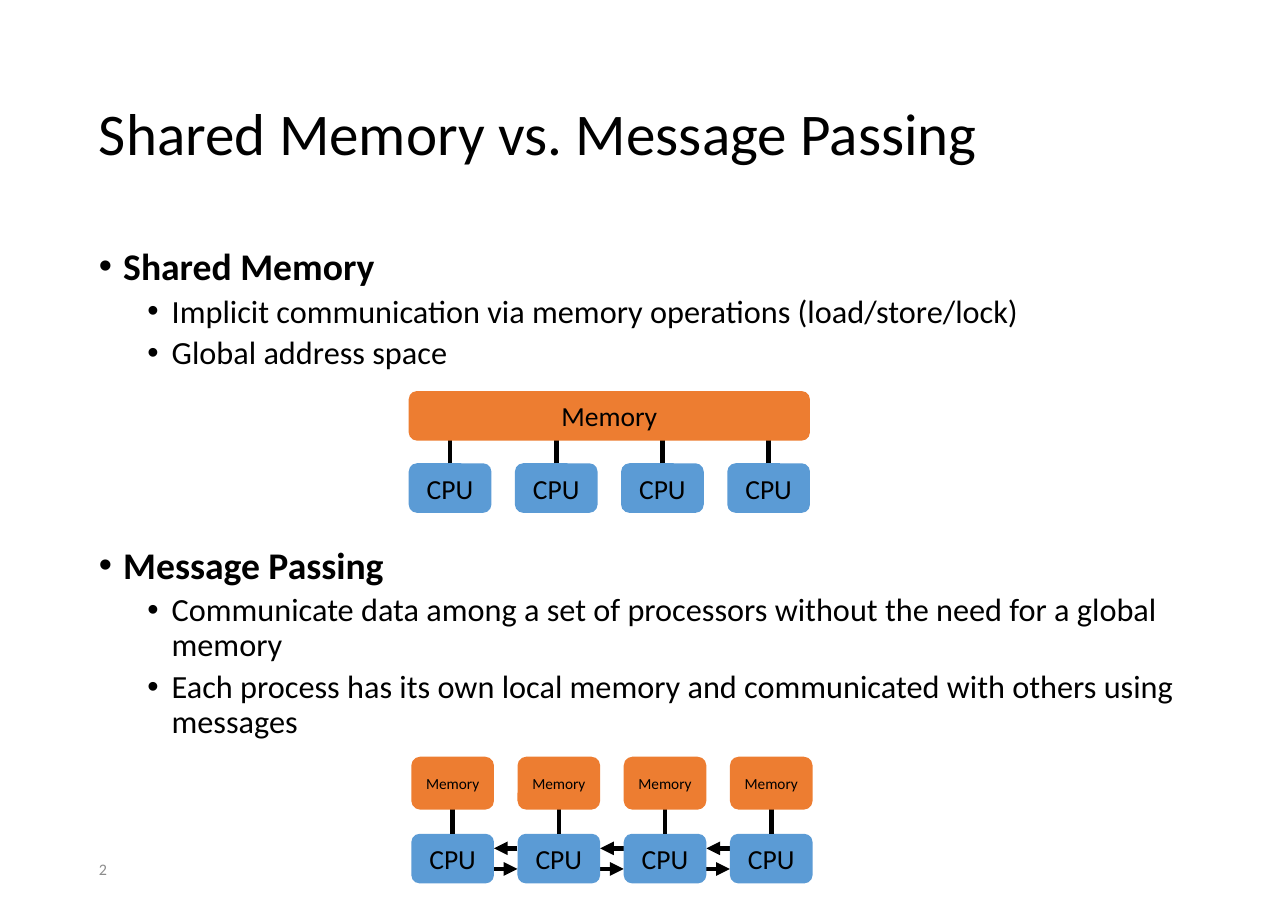
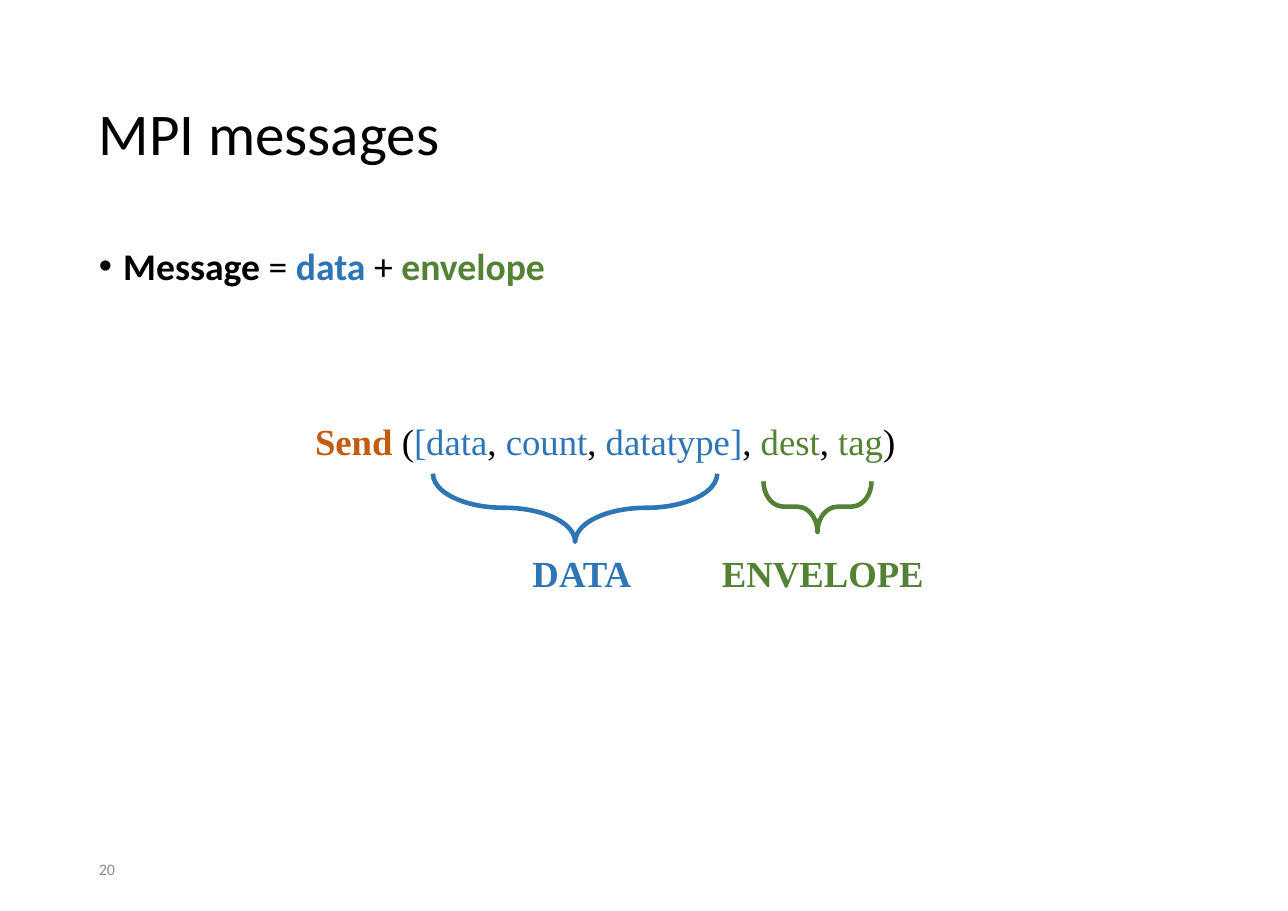
import dataclasses

import lxml.etree
import pptx
import pptx.dml.color
import pptx.enum.shapes
import pptx.enum.text
import pptx.oxml.ns
import pptx.util

Pt = pptx.util.Pt
Shape = pptx.enum.shapes.MSO_SHAPE
Align = pptx.enum.text.PP_ALIGN
Anchor = pptx.enum.text.MSO_ANCHOR
qn = pptx.oxml.ns.qn


@dataclasses.dataclass(frozen=True)
class Theme:
    black: str = "000000"
    grey: str = "8C8C8C"
    cpu: str = "5B9BD5"
    memory: str = "ED7D31"
    data: str = "2E75B6"
    envelope: str = "548235"
    call: str = "C55A11"
    sans: str = "Calibri"
    serif: str = "Times New Roman"
    title_size: float = 38.6
    heading_size: float = 24.6
    detail_size: float = 21.1
    code_size: float = 24
    box_size: float = 18
    small_size: float = 10
    number_size: float = 10.5
    stroke: float = 3
    margin: float = 57.6
    content_width: float = 726.5
    bullet_hang: float = 15.84
    detail_indent: float = 47.52


class Deck:
    """Draws the elements of the deck on the current slide in one theme."""

    def __init__(self, theme):
        self.theme = theme
        self.presentation = pptx.Presentation()
        self.presentation.slide_width = Pt(841.68)
        self.presentation.slide_height = Pt(595.44)
        self.slide = None

    def color(self, value):
        return pptx.dml.color.RGBColor.from_string(value)

    def start(self, title, number):
        theme = self.theme
        layout = self.presentation.slide_layouts[6]
        self.slide = self.presentation.slides.add_slide(layout)
        heading = self.frame(theme.margin, 31.7, theme.content_width, 115.2, Anchor.MIDDLE)
        self.add_runs(heading.paragraphs[0], [(title, theme.black, False)], theme.title_size)
        heading.paragraphs[0].line_spacing = 0.9
        footer = self.frame(theme.margin, 552.2, 189.4, 31.7, Anchor.MIDDLE)
        self.add_runs(footer.paragraphs[0], [(number, theme.grey, False)], theme.number_size)

    def frame(self, left, top, width, height, anchor=Anchor.TOP):
        box = self.slide.shapes.add_textbox(Pt(left), Pt(top), Pt(width), Pt(height))
        box.text_frame.word_wrap = True
        box.text_frame.vertical_anchor = anchor
        return box.text_frame

    def add_runs(self, paragraph, parts, size, face=None):
        paragraph.font.size = Pt(size)
        paragraph.font.name = face or self.theme.sans
        for text, color, bold in parts:
            run = paragraph.add_run()
            run.text = text
            run.font.bold = bold
            run.font.color.rgb = self.color(color)

    def bullet(self, paragraph, parts, level):
        theme = self.theme
        paragraph.level = level
        paragraph.line_spacing = 0.9
        paragraph.space_before = Pt(4.4 if level else 8.8)
        properties = paragraph._p.get_or_add_pPr()
        indent = theme.detail_indent if level else theme.bullet_hang
        properties.set("marL", str(Pt(indent)))
        properties.set("indent", str(-Pt(theme.bullet_hang)))
        lxml.etree.SubElement(properties, qn("a:buFont")).set("typeface", "Arial")
        lxml.etree.SubElement(properties, qn("a:buChar")).set("char", "•")
        self.add_runs(paragraph, parts, theme.detail_size if level else theme.heading_size)

    def section(self, top, height, heading, details=()):
        frame = self.frame(self.theme.margin, top, self.theme.content_width, height)
        self.bullet(frame.paragraphs[0], heading, 0)
        for detail in details:
            self.bullet(frame.add_paragraph(), [(detail, self.theme.black, False)], 1)

    def node(self, label, left, top, width, height, fill, size):
        node = self.slide.shapes.add_shape(
            Shape.ROUNDED_RECTANGLE, Pt(left), Pt(top), Pt(width), Pt(height))
        node.shadow.inherit = False
        node.fill.solid()
        node.fill.fore_color.rgb = self.color(fill)
        node.line.fill.background()
        node.text_frame.vertical_anchor = Anchor.MIDDLE
        paragraph = node.text_frame.paragraphs[0]
        paragraph.alignment = Align.CENTER
        self.add_runs(paragraph, [(label, self.theme.black, False)], size)

    def link(self, x1, y1, x2, y2, arrow=False):
        link = self.slide.shapes.add_connector(
            pptx.enum.shapes.MSO_CONNECTOR.STRAIGHT, Pt(x1), Pt(y1), Pt(x2), Pt(y2))
        link.line.color.rgb = self.color(self.theme.black)
        link.line.width = Pt(self.theme.stroke)
        if arrow:
            outline = link.line._get_or_add_ln()
            lxml.etree.SubElement(outline, qn("a:tailEnd")).set("type", "triangle")
        lxml.etree.SubElement(link._element.spPr, qn("a:effectLst"))

    def brace(self, center_x, center_y, span, depth, curve, color):
        brace = self.slide.shapes.add_shape(
            Shape.RIGHT_BRACE, Pt(center_x - depth / 2), Pt(center_y - span / 2),
            Pt(depth), Pt(span))
        brace.rotation = 90
        brace.adjustments[0] = curve
        brace.shadow.inherit = False
        brace.fill.background()
        brace.line.color.rgb = self.color(color)
        brace.line.width = Pt(self.theme.stroke)

    def code(self, parts, left, top, width, alignment=Align.LEFT):
        frame = self.frame(left, top, width, 28.8)
        frame.margin_left = frame.margin_right = 0
        frame.margin_top = frame.margin_bottom = 0
        paragraph = frame.paragraphs[0]
        paragraph.alignment = alignment
        paragraph.line_spacing = Pt(28.8)
        self.add_runs(paragraph, parts, self.theme.code_size, self.theme.serif)


theme = Theme()
deck = Deck(theme)

deck.start("Shared Memory vs. Message Passing", "2")
deck.section(158.4, 95, [("Shared Memory", theme.black, True)], [
    "Implicit communication via memory operations (load/store/lock)",
    "Global address space",
])
deck.section(353.7, 140, [("Message Passing", theme.black, True)], [
    "Communicate data among a set of processors without the need for a global memory",
    "Each process has its own local memory and communicated with others using messages",
])

cpu_count, cpu_width, cpu_height, pitch = 4, 54, 32.4, 69.4
shared_left, shared_top = 267.1, 302.8
local_left, local_top = 268.8, 545

for index in range(cpu_count - 1):
    sender_edge = local_left + index * pitch + cpu_width
    receiver_edge = local_left + (index + 1) * pitch
    deck.link(receiver_edge, local_top + 9.5, sender_edge, local_top + 9.5, arrow=True)
    deck.link(sender_edge, local_top + 23, receiver_edge, local_top + 23, arrow=True)

for row_left, cpu_top in ((shared_left, shared_top), (local_left, local_top)):
    for index in range(cpu_count):
        left = row_left + index * pitch
        middle = left + cpu_width / 2
        deck.node("CPU", left, cpu_top, cpu_width, cpu_height, theme.cpu, theme.box_size)
        deck.link(middle, cpu_top, middle, cpu_top - 23.5)

bar_width = (cpu_count - 1) * pitch + cpu_width
deck.node("Memory", shared_left, 255.6, bar_width, cpu_height, theme.memory, theme.box_size)
for index in range(cpu_count):
    deck.node("Memory", local_left + index * pitch, 494.6, cpu_width, 34.6,
              theme.memory, theme.small_size)

deck.start("MPI messages", "20")
deck.section(158.4, 378, [
    ("Message", theme.black, True),
    (" = ", theme.black, False),
    ("data", theme.data, True),
    (" + ", theme.black, False),
    ("envelope", theme.envelope, True),
])
deck.code([
    ("Send ", theme.call, True),
    ("(", theme.black, False),
    ("[data", theme.data, False),
    (", ", theme.black, False),
    ("count", theme.data, False),
    (", ", theme.black, False),
    ("datatype]", theme.data, False),
    (", ", theme.black, False),
    ("dest", theme.envelope, False),
    (", ", theme.black, False),
    ("tag", theme.envelope, False),
    (")", theme.black, False),
], 205.9, 273.6, 432)
deck.brace(375.8, 331.9, 185.8, 44.6, 2.19, theme.data)
deck.brace(534.2, 331.2, 70.6, 33.1, 0.4, theme.envelope)
for label, center, color in (("DATA", 380.2, theme.data),
                             ("ENVELOPE", 537.7, theme.envelope)):
    deck.code([(label, color, True)], center - 75, 360, 150, Align.CENTER)

deck.presentation.save("out.pptx")
